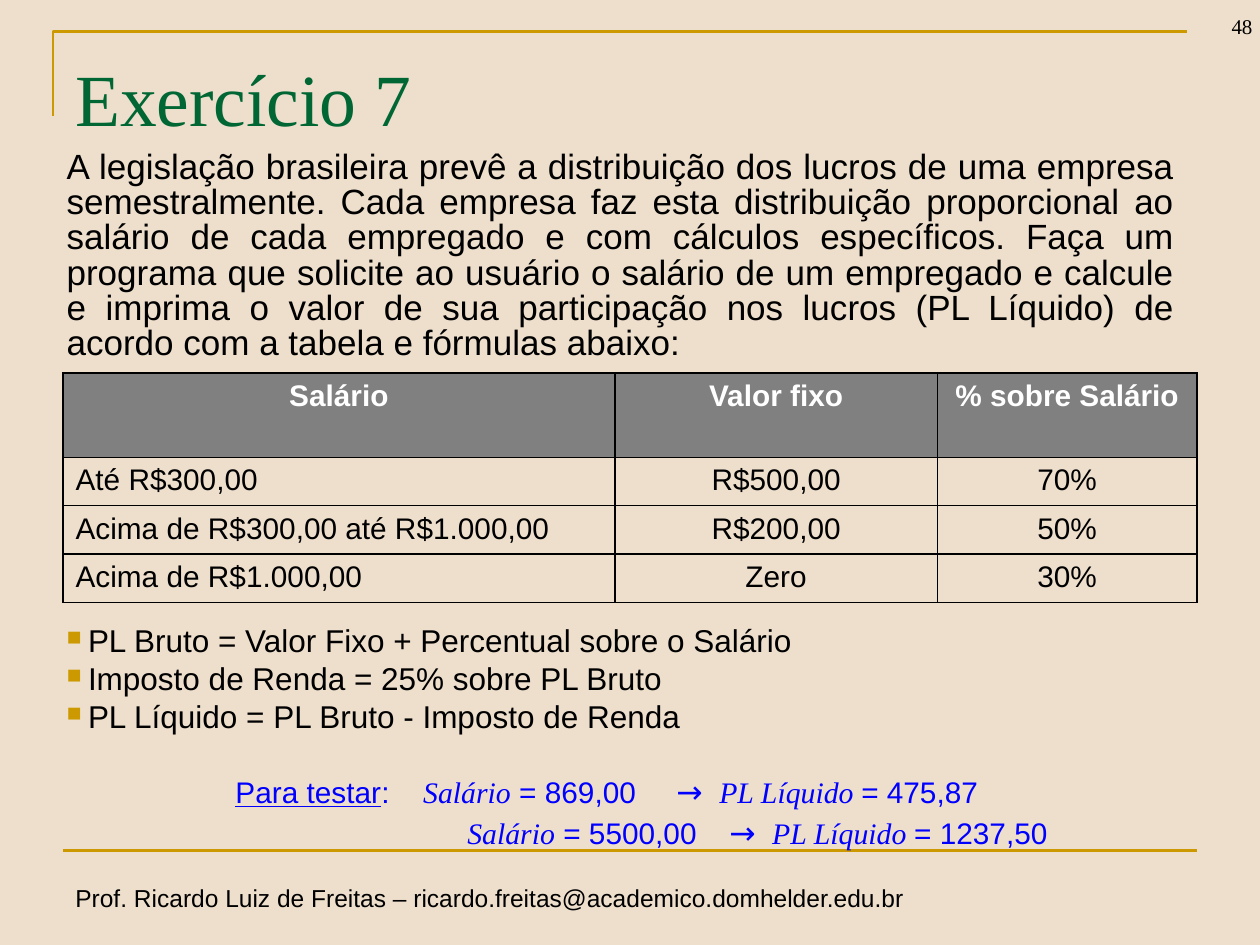
import pptx
import pptx.util
import pptx.dml.color
import pptx.enum.shapes
import pptx.enum.text
import pptx.oxml
import pptx.oxml.ns
from lxml import etree

COLORS = {
    "sand": "EEDFCC", "gold": "CC9900", "green": "006633", "blue": "0000FF",
    "gray": "808080", "white": "FFFFFF", "black": "000000",
}
RGB = {name: pptx.dml.color.RGBColor.from_string(code) for name, code in COLORS.items()}
ALIGN = pptx.enum.text.PP_ALIGN
qn = pptx.oxml.ns.qn
SERIF = "Times New Roman"


def grid(*cells):
    """Turn counts of half-inch columns or rows into lengths."""
    return [pptx.util.Inches(cell / 2) for cell in cells]


def write(paragraph, text, size=17, font="Arial", color="black", align=None,
          spacing=None, before=None, **style):
    """Add a run; style holds bold, italic or underline."""
    run = paragraph.add_run()
    run.text = text
    run.font.size = pptx.util.Pt(size)
    run.font.name = font
    run.font.color.rgb = RGB[color]
    for key, value in style.items():
        setattr(run.font, key, value)
    if align is not None:
        paragraph.alignment = align
    if spacing is not None:
        paragraph.line_spacing = spacing
    if before is not None:
        paragraph.space_before = pptx.util.Pt(before)


deck = pptx.Presentation()
deck.slide_width, deck.slide_height = grid(20, 15)
slide = deck.slides.add_slide(deck.slide_layouts[6])
slide.background.fill.solid()
slide.background.fill.fore_color.rgb = RGB["sand"]
shapes = slide.shapes

# Gold corner above the title and rule above the footer
corner_start, *corner_rest = [grid(*point) for point in [(0.84, 1.84), (0.84, 0.5), (18.84, 0.5)]]
builder = shapes.build_freeform(*corner_start)
builder.add_line_segments(corner_rest, close=False)
corner = builder.convert_to_shape()
corner.shadow.inherit = False
corner.fill.background()
footer_rule = shapes.add_connector(
    pptx.enum.shapes.MSO_CONNECTOR.STRAIGHT, *grid(1, 13.5, 19, 13.5))
for gold_line in (corner, footer_rule):
    gold_line.line.color.rgb = RGB["gold"]
    gold_line.line.width = pptx.util.Pt(1.5)
etree.SubElement(footer_rule._element.spPr, qn("a:effectLst"))

# Text frames by their part on the slide
places = {
    "title": (1, 0.74, 18, 1.8),
    "number": (18.58, 0, 1.42, 0.72),
    "statement": (0.86, 2.3, 17.98, 3.5),
    "formulas": (0.86, 9.86, 17.98, 2),
    "tests": (3.54, 12.22, 13.7, 1.4),
    "footer": (1, 13.92, 13.72, 0.68),
}
frames = {}
for part, place in places.items():
    frames[part] = shapes.add_textbox(*grid(*place)).text_frame
    frames[part].word_wrap = True

write(frames["title"].paragraphs[0], "Exercício 7", size=42, font=SERIF, color="green")
frames["number"].vertical_anchor = pptx.enum.text.MSO_ANCHOR.BOTTOM
frames["number"].margin_right = pptx.util.Inches(0.06)
write(frames["number"].paragraphs[0], "48", size=12, font=SERIF, align=ALIGN.RIGHT)
write(frames["footer"].paragraphs[0],
      "Prof. Ricardo Luiz de Freitas – ricardo.freitas@academico.domhelder.edu.br", size=14)
write(frames["statement"].paragraphs[0],
      "A legislação brasileira prevê a distribuição dos lucros de uma empresa semestralmente. "
      "Cada empresa faz esta distribuição proporcional ao salário de cada empregado e com "
      "cálculos específicos. Faça um programa que solicite ao usuário o salário de um empregado "
      "e calcule e imprima o valor de sua participação nos lucros (PL Líquido) de acordo com a "
      "tabela e fórmulas abaixo:",
      size=20, align=ALIGN.JUSTIFY, spacing=0.84)

# Profit-sharing table
brackets = [
    ("Salário", "Valor fixo", "% sobre Salário"),
    ("Até R$300,00", "R$500,00", "70%"),
    ("Acima de R$300,00 até R$1.000,00", "R$200,00", "50%"),
    ("Acima de R$1.000,00", "Zero", "30%"),
]
widths, heights = grid(8.76, 5.12, 4.12), grid(1.34, 0.76, 0.76, 0.76)
table = shapes.add_table(4, 3, *grid(1, 5.92), sum(widths), sum(heights)).table
table.first_row = table.horz_banding = False
for column, width in zip(table.columns, widths):
    column.width = width
for r, bracket in enumerate(brackets):
    table.rows[r].height = heights[r]
    for c, text in enumerate(bracket):
        header = r == 0
        cell = table.cell(r, c)
        write(cell.text_frame.paragraphs[0], text, bold=header,
              color="white" if header else "black",
              align=ALIGN.CENTER if header or c else ALIGN.LEFT)
        if header:
            cell.fill.solid()
            cell.fill.fore_color.rgb = RGB["gray"]
        else:
            cell.fill.background()
        for i, side in enumerate(("lnL", "lnR", "lnT", "lnB")):
            cell._tc.get_or_add_tcPr().insert(i, pptx.oxml.parse_xml(
                f'<a:{side} {pptx.oxml.ns.nsdecls("a")} w="12700"><a:solidFill>'
                f'<a:srgbClr val="{COLORS["black"]}"/></a:solidFill></a:{side}>'))

# Bulleted formulas
formulas = [
    "PL Bruto = Valor Fixo + Percentual sobre o Salário",
    "Imposto de Renda = 25% sobre PL Bruto",
    "PL Líquido = PL Bruto - Imposto de Renda",
]
hanging = pptx.util.Inches(0.17)
for i, formula in enumerate(formulas):
    paragraph = frames["formulas"].add_paragraph() if i else frames["formulas"].paragraphs[0]
    props = paragraph._p.get_or_add_pPr()
    props.set("marL", str(hanging))
    props.set("indent", str(-hanging))
    bullet_color = etree.SubElement(props, qn("a:buClr"))
    etree.SubElement(bullet_color, qn("a:srgbClr"), val=COLORS["gold"])
    etree.SubElement(props, qn("a:buSzPct"), val="65000")
    etree.SubElement(props, qn("a:buChar"), char="■")
    write(paragraph, formula, size=18, spacing=0.84, before=3.6 if i else None)

# Test cases: tab stops for salary, arrow and result
tests = [
    ("Para testar", ":", "869,00", "475,87", (2.98, 7, 7.68)),
    ("", "", "5500,00", "1237,50", (3.68, 7.84, 8.52)),
]
for i, (label, colon, salary, result, stops) in enumerate(tests):
    paragraph = frames["tests"].add_paragraph() if i else frames["tests"].paragraphs[0]
    tabs = etree.SubElement(paragraph._p.get_or_add_pPr(), qn("a:tabLst"))
    for stop in grid(*stops):
        etree.SubElement(tabs, qn("a:tab"), pos=str(stop), algn="l")
    if label:
        write(paragraph, label, color="blue", underline=True)
    write(paragraph, colon + "\t", color="blue", spacing=0.9, before=4 if i else None)
    write(paragraph, "Salário", font=SERIF, color="blue", italic=True)
    write(paragraph, f" = {salary}\t", color="blue")
    write(paragraph, "→", size=18, font="Karla", color="blue")
    write(paragraph, "\t", color="blue")
    write(paragraph, "PL Líquido ", font=SERIF, color="blue", italic=True)
    write(paragraph, f"= {result}", color="blue")

deck.save("out.pptx")
